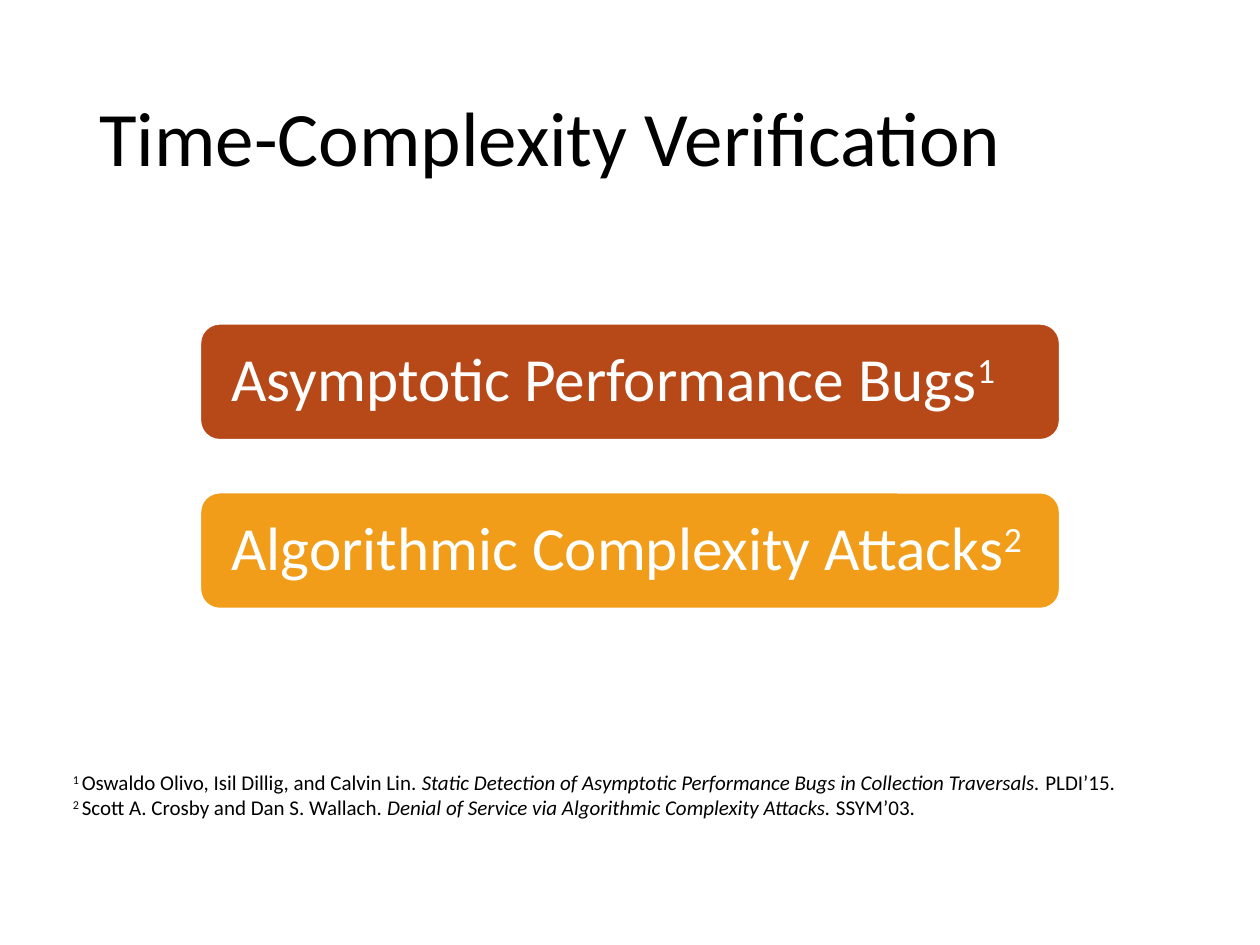
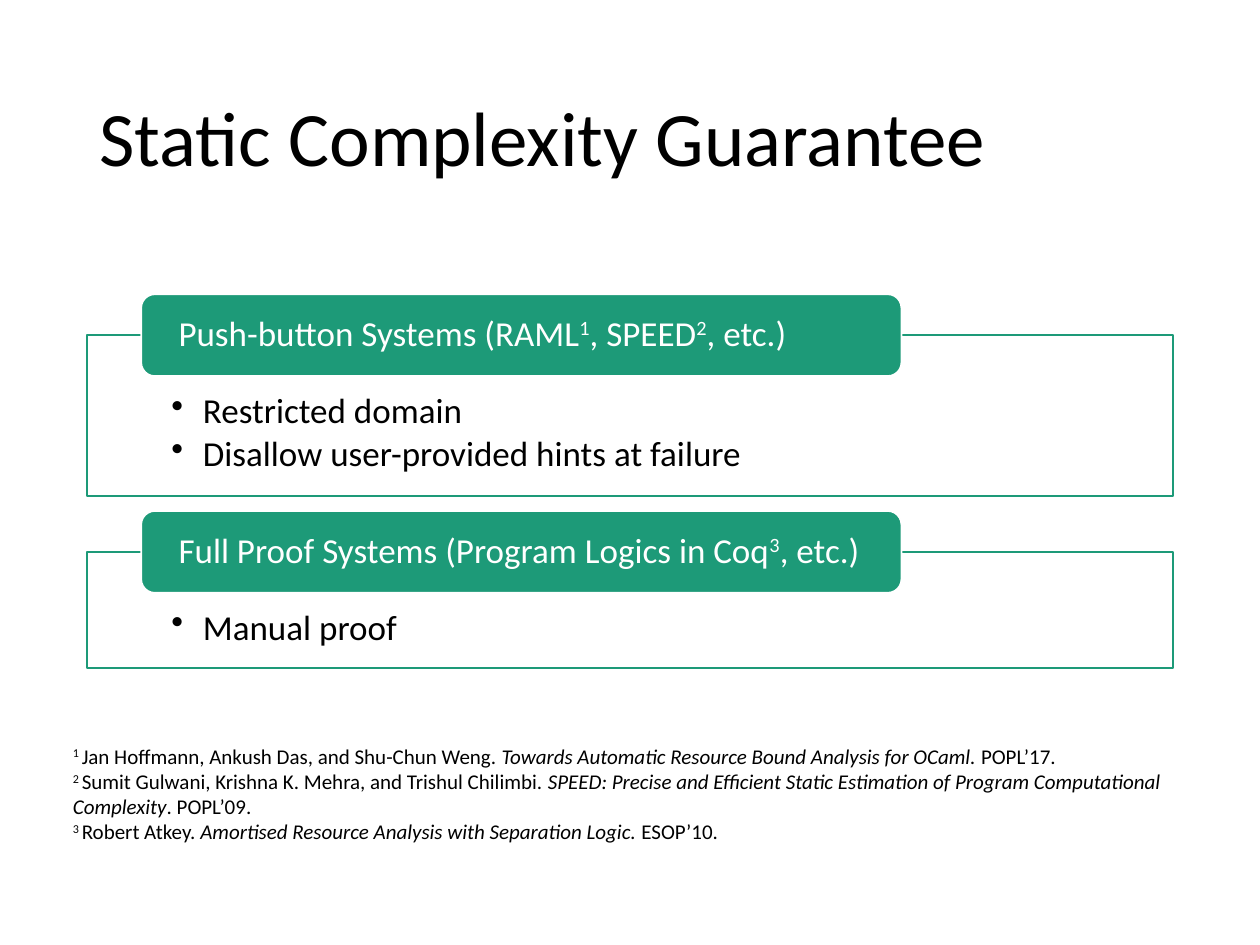
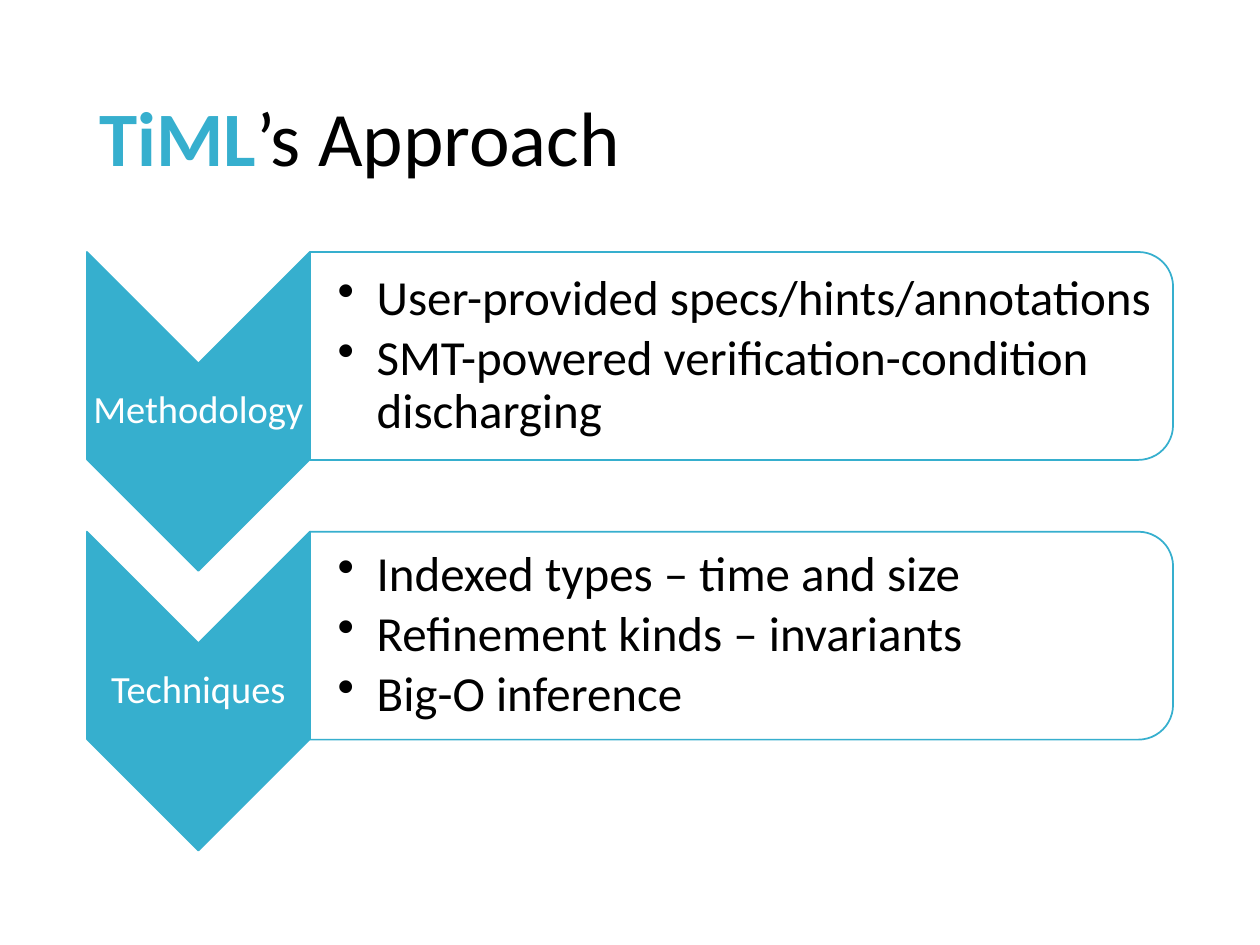
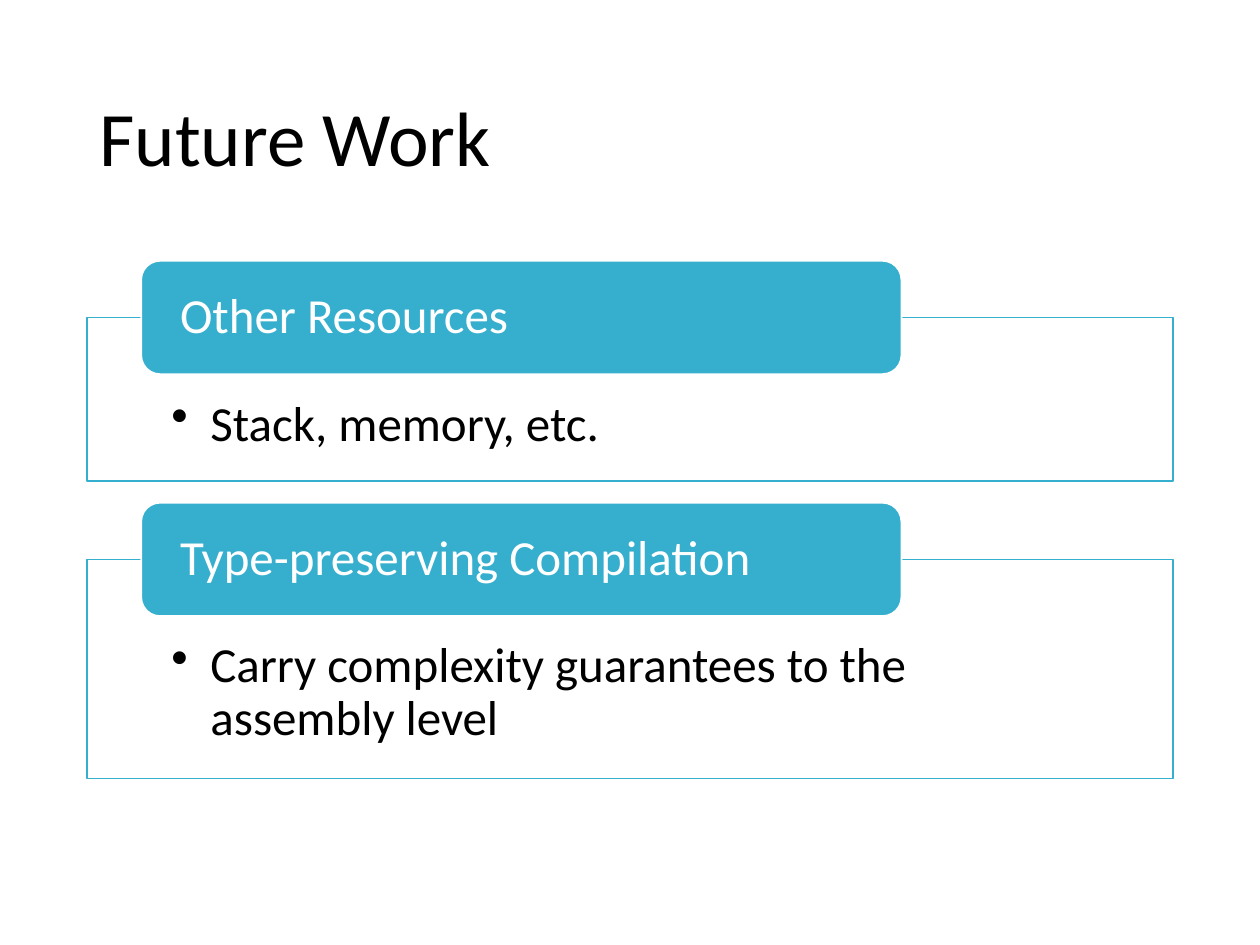
from pptx import Presentation
from pptx.util import Inches, Pt
from pptx.dml.color import RGBColor
from pptx.enum.shapes import MSO_SHAPE
from pptx.enum.text import MSO_ANCHOR, PP_ALIGN
from pptx.oxml.xmlchemy import OxmlElement

WIDE, HIGH = 10, 7.5
COLS, ROWS = 100, 75
FONT = "Calibri"
HUES = {
    "ink": "000000",
    "paper": "FFFFFF",
    "rust": "B74919",
    "amber": "F19D19",
    "green": "1D9A78",
    "blue": "36AFCE",
}
HEAD = (6.9, 4, 86.2, 14.5)
BODY = 6.9, 86.2
PAD = (1, 0.5, 1, 0.5)


def span(cols):
    return Inches(cols * WIDE / COLS)


def drop(rows):
    return Inches(rows * HIGH / ROWS)


def place(box):
    x, y, w, h = box
    return span(x), drop(y), span(w), drop(h)


def tint(name):
    return RGBColor.from_string(HUES[name])


def sup(text):
    return text, {"sup": True}


def slant(text):
    return text, {"italic": True}


def write(shape, paras, size, hue="ink", align=PP_ALIGN.LEFT, anchor=MSO_ANCHOR.TOP,
          pad=PAD, lead=None, after=0, hang=0):
    frame = shape.text_frame
    frame.word_wrap = True
    frame.vertical_anchor = anchor
    frame.margin_left, frame.margin_right = span(pad[0]), span(pad[2])
    frame.margin_top, frame.margin_bottom = drop(pad[1]), drop(pad[3])
    for i, runs in enumerate(paras):
        para = frame.paragraphs[0] if i == 0 else frame.add_paragraph()
        para.alignment = align
        para.line_spacing = lead
        para.space_after = Pt(after)
        if hang:
            mark(para, hang)
        for item in [runs] if isinstance(runs, str) else runs:
            text, look = (item, {}) if isinstance(item, str) else item
            run = para.add_run()
            run.text = text
            font = run.font
            font.name, font.size = FONT, Pt(size)
            font.color.rgb = tint(look.get("hue", hue))
            font.bold = look.get("bold", False)
            font.italic = look.get("italic", False)
            if look.get("sup"):
                font._element.set("baseline", "30000")


def mark(para, hang):
    para.level = 1
    props = para._p.get_or_add_pPr()
    props.set("marL", str(span(hang)))
    props.set("indent", str(-span(hang)))
    dot = OxmlElement("a:buChar")
    dot.set("char", "•")
    props.append(dot)


def draw(slide, kind, box, fill, line, alpha=None, turn=False):
    x, y, w, h = box
    if turn:
        x, y, w, h = x + (w - h) / 2, y + (h - w) / 2, h, w
    shape = slide.shapes.add_shape(kind, *place((x, y, w, h)))
    shape.rotation = 90 if turn else 0
    shape.shadow.inherit = False
    shape.fill.solid()
    shape.fill.fore_color.rgb = tint(fill)
    if alpha:
        tag = OxmlElement("a:alpha")
        tag.set("val", str(alpha * 1000))
        shape.fill._xPr.find(".//{*}srgbClr").append(tag)
    shape.line.color.rgb = tint(line)
    shape.line.width = Pt(1)
    return shape


def label(slide, box, paras, **look):
    write(slide.shapes.add_textbox(*place(box)), paras, **look)


def start(deck, title):
    slide = deck.slides.add_slide(deck.slide_layouts[6])
    label(slide, HEAD, [title], size=44, anchor=MSO_ANCHOR.MIDDLE, lead=0.9)
    return slide


def notes(slide, box, cites):
    paras = [[sup(f"{i} "), who, slant(work), venue]
             for i, (who, work, venue) in enumerate(cites, 1)]
    label(slide, box, paras, size=12)


def chips(slide, box, items):
    x, y, w, h = box
    tall = 9.2
    step = (h - tall) / (len(items) - 1)
    for i, (hue, runs) in enumerate(items):
        chip = draw(slide, MSO_SHAPE.ROUNDED_RECTANGLE, (x, y + i * step, w, tall), hue, "paper")
        write(chip, [runs], size=35, hue="paper", anchor=MSO_ANCHOR.MIDDLE,
              pad=(2, 1.5, 2, 1.5), lead=0.9)


def panel(slide, box, hue, size, tall, hang, head, points):
    x, y, w, h = box
    frame = draw(slide, MSO_SHAPE.RECTANGLE, (x, y + tall / 2, w, h - tall / 2),
                 "paper", hue, alpha=90)
    write(frame, points, size=size, pad=(6.7, size * 0.23, 6.7, size * 0.08),
          lead=0.9, after=size * 0.15, hang=hang)
    tab = draw(slide, MSO_SHAPE.ROUNDED_RECTANGLE, (x + w * 0.05, y, w * 0.7, tall), hue, "paper")
    write(tab, [head], size=size, hue="paper", anchor=MSO_ANCHOR.MIDDLE,
          pad=(2.65, 0.3, 2.65, 0.3), lead=0.9)


def panels(slide, top, gap, items, **look):
    x, w = BODY
    for h, head, points in items:
        panel(slide, (x, top, w, h), head=head, points=points, **look)
        top += h + gap


def stage(slide, box, hue, name, points):
    x, y, w, h = box
    wide = 17.7
    draw(slide, MSO_SHAPE.CHEVRON, (x, y, wide, h), hue, hue, turn=True)
    label(slide, (x, y + wide / 2, wide, h - wide), [name], size=22, hue="paper",
          align=PP_ALIGN.CENTER, anchor=MSO_ANCHOR.MIDDLE, pad=(0.2,) * 4, lead=0.9)
    left, rest, tall = x + wide, w - wide, 16.5
    draw(slide, MSO_SHAPE.ROUND_2_SAME_RECTANGLE, (left, y, rest, tall),
         "paper", hue, alpha=90, turn=True)
    label(slide, (left, y + 0.8, rest - 0.8, tall - 1.6), points, size=28,
          anchor=MSO_ANCHOR.MIDDLE, pad=(2.2, 0.2, 0.2, 0.2), lead=0.9, after=4.2, hang=3.1)


def verify(deck):
    slide = start(deck, "Time-Complexity Verification")
    notes(slide, (4.8, 60.6, 90.3, 5), [
        ("Oswaldo Olivo, Isil Dillig, and Calvin Lin. ",
         "Static Detection of Asymptotic Performance Bugs in Collection Traversals. ", "PLDI’15."),
        ("Scott A. Crosby and Dan S. Wallach. ",
         "Denial of Service via Algorithmic Complexity Attacks. ", "SSYM’03."),
    ])
    chips(slide, (15.9, 25.7, 68.2, 22.6), [
        ("rust", ["Asymptotic Performance Bugs", sup("1")]),
        ("amber", ["Algorithmic Complexity Attacks", sup("2")]),
    ])


def static(deck):
    slide = start(deck, "Static Complexity Guarantee")
    panels(slide, 23.35, 1.2, [
        (16, ["Push-button Systems (RAML", sup("1"), ", SPEED", sup("2"), ", etc.)"],
         ["Restricted domain", "Disallow user-provided hints at failure"]),
        (12.5, ["Full Proof Systems (Program Logics in Coq", sup("3"), ", etc.)"],
         ["Manual proof"]),
    ], hue="green", size=20, tall=6.5, hang=2.5)
    notes(slide, (4.8, 58.5, 90.3, 9.1), [
        ("Jan Hoffmann, Ankush Das, and Shu-Chun Weng. ",
         "Towards Automatic Resource Bound Analysis for OCaml. ", "POPL’17."),
        ("Sumit Gulwani, Krishna K. Mehra, and Trishul Chilimbi. ",
         "SPEED: Precise and Efficient Static Estimation of Program Computational Complexity",
         ". POPL’09."),
        ("Robert Atkey. ", "Amortised Resource Analysis with Separation Logic. ", "ESOP’10."),
    ])


def method(deck):
    slide = start(deck, [("TiML", {"hue": "blue", "bold": True}), "’s Approach"])
    items = [
        ("Methodology", ["User-provided specs/hints/annotations",
                         "SMT-powered verification-condition discharging"]),
        ("Techniques", ["Indexed types – time and size", "Refinement kinds – invariants",
                        "Big-O inference"]),
    ]
    x, w = BODY
    for i, (name, points) in enumerate(items):
        stage(slide, (x, 20 + i * 22.2, w, 25.3), "blue", name, points)


def future(deck):
    slide = start(deck, "Future Work")
    panels(slide, 20.7, 1.7, [
        (17.5, "Other Resources", ["Stack, memory, etc."]),
        (21.9, "Type-preserving Compilation",
         ["Carry complexity guarantees to the assembly level"]),
    ], hue="blue", size=28, tall=9, hang=3.1)


def main():
    deck = Presentation()
    deck.slide_width, deck.slide_height = Inches(WIDE), Inches(HIGH)
    for build in (verify, static, method, future):
        build(deck)
    deck.save("out.pptx")


if __name__ == "__main__":
    main()
